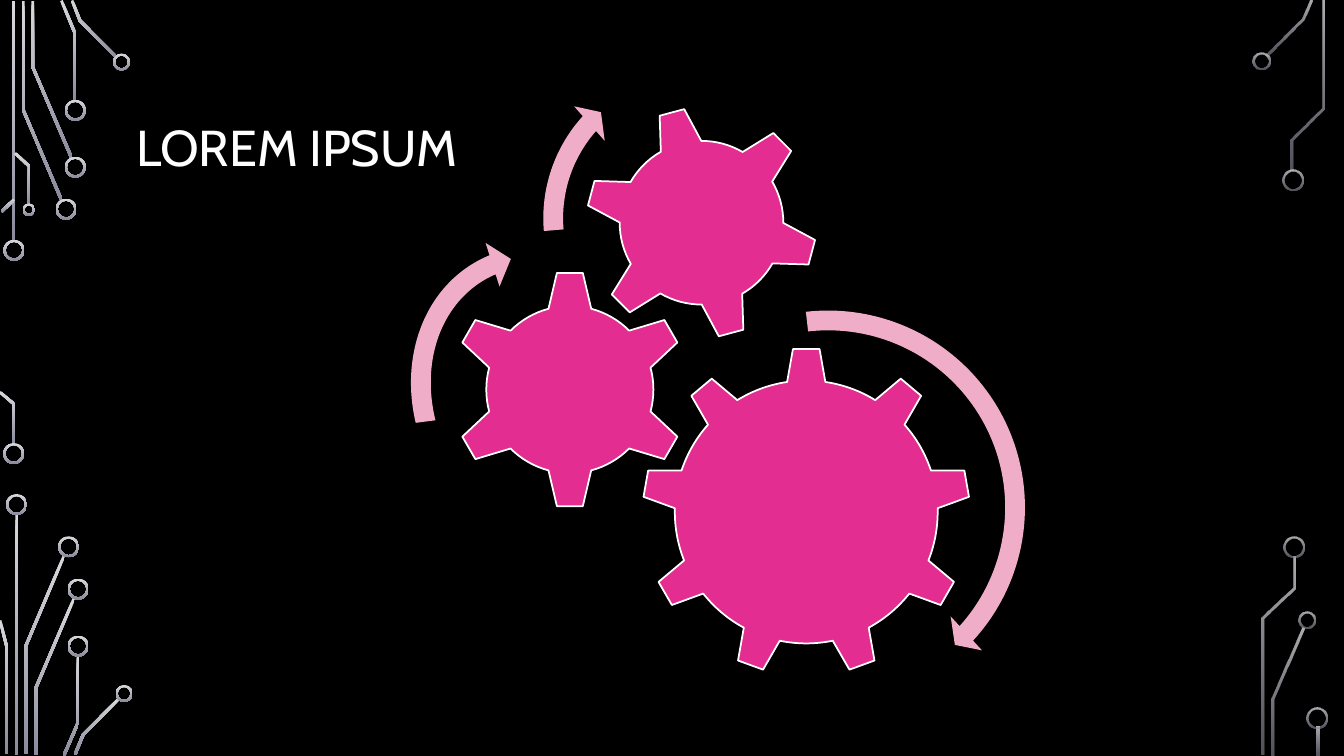
from math import hypot
from lxml import etree
from pptx import Presentation
from pptx.dml.color import RGBColor
from pptx.enum import shapes, text
from pptx.oxml import ns
from pptx.util import Pt

HUES = {"back": "000000", "text": "FFFFFF", "gear": "E32D91", "arrow": "EFADC7",
        "light": "D8D9DC", "dark": "8A8A9C"}
KIND = shapes.MSO_SHAPE
WIRE = 2
RIM = 1.5

LEFT_RINGS = [
    (10, 178.8, 15), (9.8, 324, 15), (47.2, 149.4, 15), (53.8, 119.4, 15),
    (53.8, 78.8, 15), (86.8, 44.3, 12.2), (20.6, 149.8, 9),
    (11.8, 360.4, 15), (49, 390.6, 15), (55.8, 420.8, 15),
    (55.8, 461.5, 15), (88.7, 495.4, 12.2),
]
LEFT_WIRES = [
    [(9.6, 0.7), (9.6, 172.8)],
    [(16.6, 0.7), (16.6, 78.5), (43.9, 142.9)],
    [(23.4, 0.7), (23.4, 47.9), (51.1, 112.7)],
    [(43.9, 0.4), (53.6, 23.8), (53.6, 72)],
    [(51.5, 0.4), (57.2, 14.8), (83.2, 41)],
    [(1.1, 151.2), (10.1, 142.6)],
    [(0, 280.1), (10.1, 288.7), (10.1, 317.5)],
    [(10.8, 109.4), (20.9, 118.8), (20.9, 146.2)],
    [(11.9, 367.2), (11.9, 539.3)],
    [(18.4, 538.6), (18.4, 461.5), (45.7, 397.1)],
    [(4.7, 538.6), (4.7, 461.5), (0, 443.2)],
    [(25.6, 539.3), (25.6, 491.4), (52.9, 427.3)],
    [(45.7, 539.6), (55.8, 516.2), (55.8, 468)],
    [(53.6, 538.9), (59.4, 524.9), (85, 499)],
]
RIGHT_RINGS = [
    (11.1, 43.6, 12.2), (33.4, 128.5, 15), (43.5, 443.2, 12.2),
    (34.1, 390.6, 15), (50.7, 512.6, 15),
]
RIGHT_WIRES = [
    [(15, 40), (40.6, 14), (46.4, 0.4)],
    [(33, 121.7), (33, 99.7), (55, 77.4), (55, 0.7)],
    [(19, 539.3), (19, 499.3), (41, 448.9)],
    [(11.8, 539.3), (11.8, 441.7), (34.1, 420.1), (34.1, 397.4)],
    [(51.4, 519.1), (51.4, 539.3)],
]
GEARS = [
    (KIND.GEAR_9, 188.6, 212.4, 234.7, 0),
    (KIND.GEAR_6, 51.8, 157, 170.6, 0),
    (KIND.GEAR_6, 147.6, 39.6, 167, 345),
]
ARROWS = [
    (KIND.CIRCULAR_ARROW, 171.4, 176.4, 300.2, 300.2, 0,
     (0.047, 2.99, 25.393, 158.123, 0.055)),
    (KIND.LEFT_CIRCULAR_ARROW, 1.4, 144, 253.4, 218.2, 240,
     (0.065, 4.3, 104.891, 148.378, 0.075)),
    (KIND.CIRCULAR_ARROW, 108.7, 2.2, 235.4, 235.4, 0,
     (0.06, 3.941, 133.138, 105.082, 0.07)),
]


def hue(name):
    return RGBColor.from_string(HUES[name])


def paint(shape, name):
    shape.shadow.inherit = False
    shape.fill.solid()
    shape.fill.fore_color.rgb = hue(name)
    shape.line.fill.background()


def shade(shape, alphas):
    shape.shadow.inherit = False
    shape.line.fill.background()
    shape.fill.gradient()
    shape.fill.gradient_angle = 270
    for stop, name in zip(shape.fill.gradient_stops, ("light", "dark")):
        stop.color.rgb = hue(name)
    if alphas:
        tints = shape.element.spPr.iter(ns.qn("a:srgbClr"))
        for tint, alpha in zip(tints, alphas):
            etree.SubElement(tint, ns.qn("a:alpha")).set("val", str(alpha * 1000))


def outline(wire):
    norms = []
    for (x1, y1), (x2, y2) in zip(wire, wire[1:]):
        size = hypot(x2 - x1, y2 - y1)
        norms.append(((y1 - y2) / size, (x2 - x1) / size))
    near, far = [], []
    for (x, y), (ax, ay), (bx, by) in zip(wire, norms[:1] + norms, norms + norms[-1:]):
        reach = WIRE / 2 / (1 + ax * bx + ay * by)
        dx, dy = (ax + bx) * reach, (ay + by) * reach
        near.append((x + dx, y + dy))
        far.append((x - dx, y - dy))
    return near + far[::-1]


def circuit(slide, box, rings, wires, alphas=None):
    left, top = box
    group = slide.shapes.add_group_shape().shapes
    for wire in wires:
        spots = [(Pt(left + x), Pt(top + y)) for x, y in outline(wire)]
        pen = group.build_freeform(*spots[0])
        pen.add_line_segments(spots[1:], close=True)
        shade(pen.convert_to_shape(), alphas)
    for x, y, size in rings:
        ring = group.add_shape(KIND.DONUT, Pt(left + x - size / 2),
                               Pt(top + y - size / 2), Pt(size), Pt(size))
        ring.adjustments[0] = RIM / size
        shade(ring, alphas)


def heading(slide, box, words):
    title = slide.shapes.title
    title.left, title.top, title.width, title.height = map(Pt, box)
    frame = title.text_frame
    frame.text = words
    frame.word_wrap = True
    frame.auto_size = text.MSO_AUTO_SIZE.NONE
    frame.vertical_anchor = text.MSO_ANCHOR.MIDDLE
    line = frame.paragraphs[0]
    line.alignment = text.PP_ALIGN.LEFT
    line.line_spacing = 0.9
    font = line.runs[0].font
    font.name, font.size = "Cabin", Pt(36)
    font.color.rgb = hue("text")


def gearing(slide, box):
    left, top = box
    group = slide.shapes.add_group_shape().shapes
    for kind, x, y, size, turn in GEARS:
        gear = group.add_shape(kind, Pt(left + x), Pt(top + y), Pt(size), Pt(size))
        gear.rotation = turn
        paint(gear, "gear")
        gear.line.color.rgb = hue("text")
        gear.line.width = Pt(1.25)
    for kind, x, y, width, height, turn, bends in ARROWS:
        arrow = group.add_shape(kind, Pt(left + x), Pt(top + y), Pt(width), Pt(height))
        arrow.rotation = turn
        for i, bend in enumerate(bends):
            arrow.adjustments[i] = bend
        if kind == KIND.LEFT_CIRCULAR_ARROW:
            arrow.element.spPr.find(ns.qn("a:xfrm")).set("flipH", "1")
        paint(arrow, "arrow")


def main():
    deck = Presentation()
    deck.slide_width, deck.slide_height = Pt(960), Pt(540)
    slide = deck.slides.add_slide(deck.slide_layouts[5])
    slide.background.fill.solid()
    slide.background.fill.fore_color.rgb = hue("back")
    circuit(slide, (0, 0), LEFT_RINGS, LEFT_WIRES)
    circuit(slide, (890, 0), RIGHT_RINGS, RIGHT_WIRES, (80, 60))
    heading(slide, (90, 49, 780, 116.6), "LOREM IPSUM")
    gearing(slide, (270, 36))
    deck.save("out.pptx")


if __name__ == "__main__":
    main()
